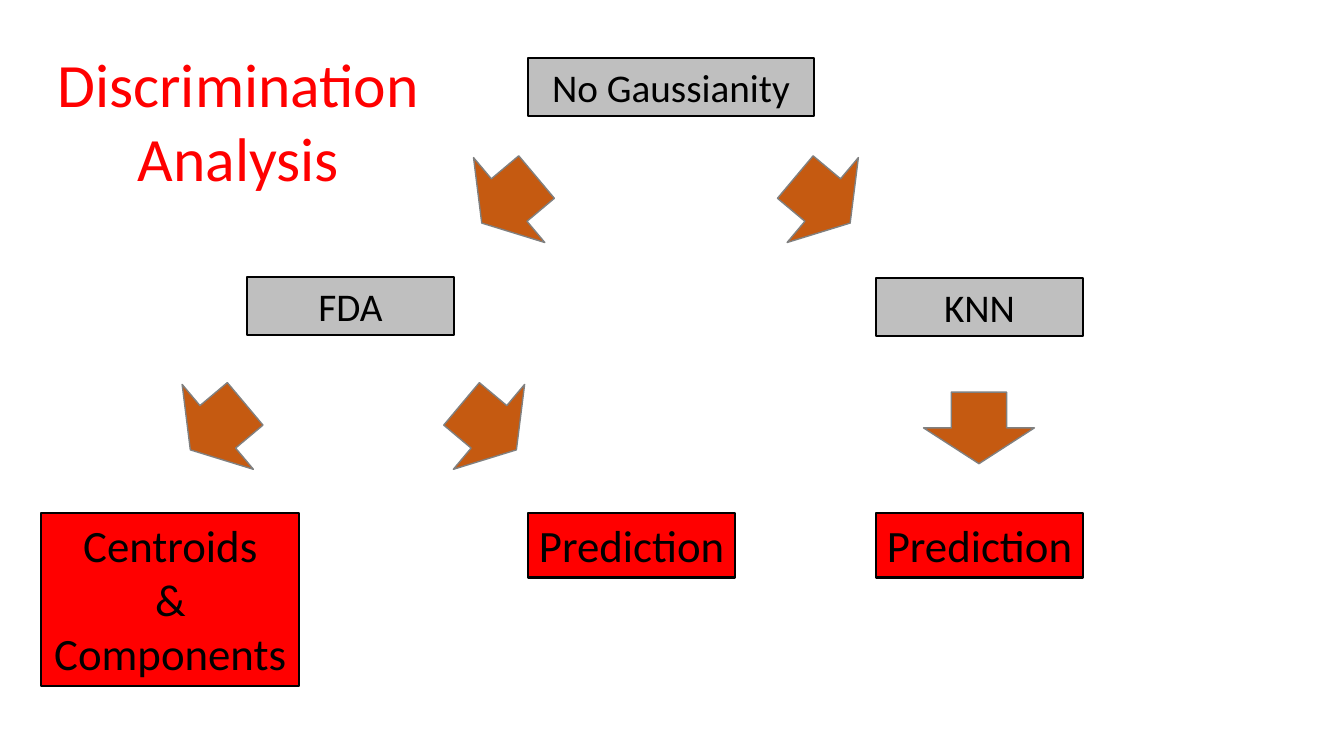
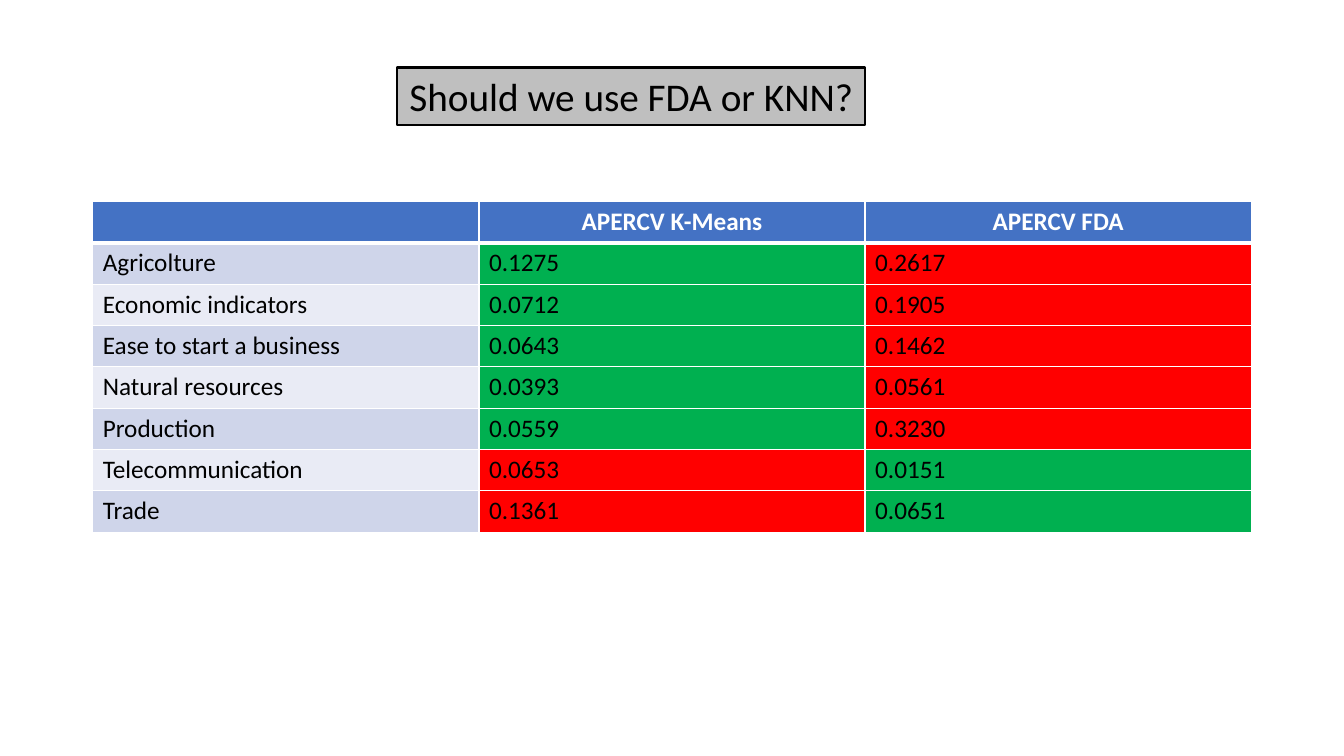
import pptx
import pptx.dml.color
import pptx.enum.shapes
import pptx.enum.text
import pptx.oxml.ns
import pptx.util
from lxml import etree

RGB = pptx.dml.color.RGBColor
SHAPES = pptx.enum.shapes.MSO_SHAPE
ALIGN = pptx.enum.text.PP_ALIGN

BLACK = RGB(0x00, 0x00, 0x00)
WHITE = RGB(0xFF, 0xFF, 0xFF)
GREY = RGB(0xBF, 0xBF, 0xBF)
ARROW_LINE = RGB(0x80, 0x80, 0x80)
RED = RGB(0xFF, 0x00, 0x00)
GREEN = RGB(0x00, 0xB0, 0x50)
ORANGE = RGB(0xC5, 0x5A, 0x11)
HEADER_BLUE = RGB(0x44, 0x72, 0xC4)
BANDS = (RGB(0xCF, 0xD5, 0xEA), RGB(0xE9, 0xEB, 0xF5))

FONT = "Calibri"
TITLE_ONLY = 5
EMU_PER_PX = 9144  # 100 px to the inch


def px(length):
    return pptx.util.Emu(length * EMU_PER_PX)


class Deck:
    """Holds the shared style and the slide being built."""

    def __init__(self):
        self.presentation = pptx.Presentation()
        self.presentation.slide_width = px(1333)
        self.presentation.slide_height = px(750)
        self.slide = None

    def add_slide(self):
        layout = self.presentation.slide_layouts[TITLE_ONLY]
        self.slide = self.presentation.slides.add_slide(layout)

    def style_paragraph(self, paragraph, size, color, bold=False, align=ALIGN.CENTER):
        paragraph.alignment = align
        paragraph.font.name = FONT
        paragraph.font.size = pptx.util.Pt(size)
        paragraph.font.color.rgb = color
        paragraph.font.bold = bold

    def set_text(self, shape, text, size, color):
        frame = shape.text_frame
        frame.text = text
        frame.word_wrap = False
        frame.auto_size = pptx.enum.text.MSO_AUTO_SIZE.NONE
        frame.vertical_anchor = pptx.enum.text.MSO_ANCHOR.TOP
        for paragraph in frame.paragraphs:
            self.style_paragraph(paragraph, size, color)

    def paint(self, shape, fill, line, width):
        shape.fill.solid()
        shape.fill.fore_color.rgb = fill
        shape.line.color.rgb = line
        shape.line.width = pptx.util.Pt(width)

    def title(self, text, left, top, width, height, size, color, fill=None):
        title = self.slide.shapes.title
        title.left, title.top = px(left), px(top)
        title.width, title.height = px(width), px(height)
        self.set_text(title, text, size, color)
        if fill is not None:
            self.paint(title, fill, BLACK, 1.5)

    def box(self, text, left, top, width, height, fill, size):
        box = self.slide.shapes.add_shape(
            SHAPES.RECTANGLE, px(left), px(top), px(width), px(height))
        box.shadow.inherit = False
        self.paint(box, fill, BLACK, 1.5)
        self.set_text(box, text, size, BLACK)

    def arrow(self, left, top, rotation):
        arrow = self.slide.shapes.add_shape(
            SHAPES.DOWN_ARROW, px(left), px(top), px(110), px(71))
        arrow.rotation = rotation
        arrow.shadow.inherit = False
        self.paint(arrow, ORANGE, ARROW_LINE, 1)

    def cell_border(self, cell, side, width):
        qn = pptx.oxml.ns.qn
        properties = cell._tc.get_or_add_tcPr()
        line = etree.SubElement(properties, qn(f"a:ln{side}"), w=str(pptx.util.Pt(width)))
        fill = etree.SubElement(line, qn("a:solidFill"))
        etree.SubElement(fill, qn("a:srgbClr"), val=str(WHITE))

    def cell(self, cell, text, fill, color, bold, align, top, bottom):
        cell.text = text
        self.style_paragraph(cell.text_frame.paragraphs[0], 18, color, bold, align)
        for side, width in (("L", 1), ("R", 1), ("T", top), ("B", bottom)):
            self.cell_border(cell, side, width)
        cell.fill.solid()
        cell.fill.fore_color.rgb = fill

    def error_table(self, header, rows, left, top, column_width, row_height):
        """Table of error rates with the lower rate of each row in green."""
        table = self.slide.shapes.add_table(
            len(rows) + 1, len(header), px(left), px(top),
            px(column_width * len(header)), px(row_height * (len(rows) + 1))).table
        for column, text in enumerate(header):
            self.cell(table.cell(0, column), text, HEADER_BLUE, WHITE, True,
                      ALIGN.CENTER, 1, 3)
        for index, (name, *rates) in enumerate(rows):
            fills = [BANDS[index % 2]]
            fills += [GREEN if rate == min(rates) else RED for rate in rates]
            texts = [name] + [f"{rate:.4f}" for rate in rates]
            for column, (text, fill) in enumerate(zip(texts, fills)):
                self.cell(table.cell(index + 1, column), text, fill, BLACK, False,
                          ALIGN.LEFT, 3 if index == 0 else 1, 1)


def build_method_tree(deck):
    deck.add_slide()
    deck.title("Discrimination\nAnalysis", 45, 41, 383, 158, 44, RED)

    # Methods
    for text, left, top, width in (
            ("No Gaussianity", 524, 58, 283),
            ("FDA", 245, 275, 205),
            ("KNN", 869, 276, 205)):
        deck.box(text, left, top, width, 57, GREY, 28)

    # Outcomes
    for text, left, width, height in (
            ("Centroids\n&\nComponents", 41, 256, 172),
            ("Prediction", 524, 205, 64),
            ("Prediction", 869, 205, 64)):
        deck.box(text, left, 509, width, height, RED, 32)

    # Branches
    to_left, to_right, down = 50, 310, 0
    for left, top, rotation in (
            (450, 163, to_left), (761, 163, to_right),
            (161, 388, to_left), (430, 388, to_right), (916, 389, down)):
        deck.arrow(left, top, rotation)


def build_comparison(deck):
    deck.add_slide()
    deck.title("Should we use FDA or KNN?", 394, 67, 464, 57, 28, BLACK, GREY)
    deck.error_table(
        ("", "APERCV K-Means", "APERCV FDA"),
        (("Agricolture", 0.1275, 0.2617),
         ("Economic indicators", 0.0712, 0.1905),
         ("Ease to start a business", 0.0643, 0.1462),
         ("Natural resources", 0.0393, 0.0561),
         ("Production", 0.0559, 0.3230),
         ("Telecommunication", 0.0653, 0.0151),
         ("Trade", 0.1361, 0.0651)),
        left=92, top=200, column_width=383, row_height=41)


def main():
    deck = Deck()
    build_method_tree(deck)
    build_comparison(deck)
    deck.presentation.save("out.pptx")


if __name__ == "__main__":
    main()
